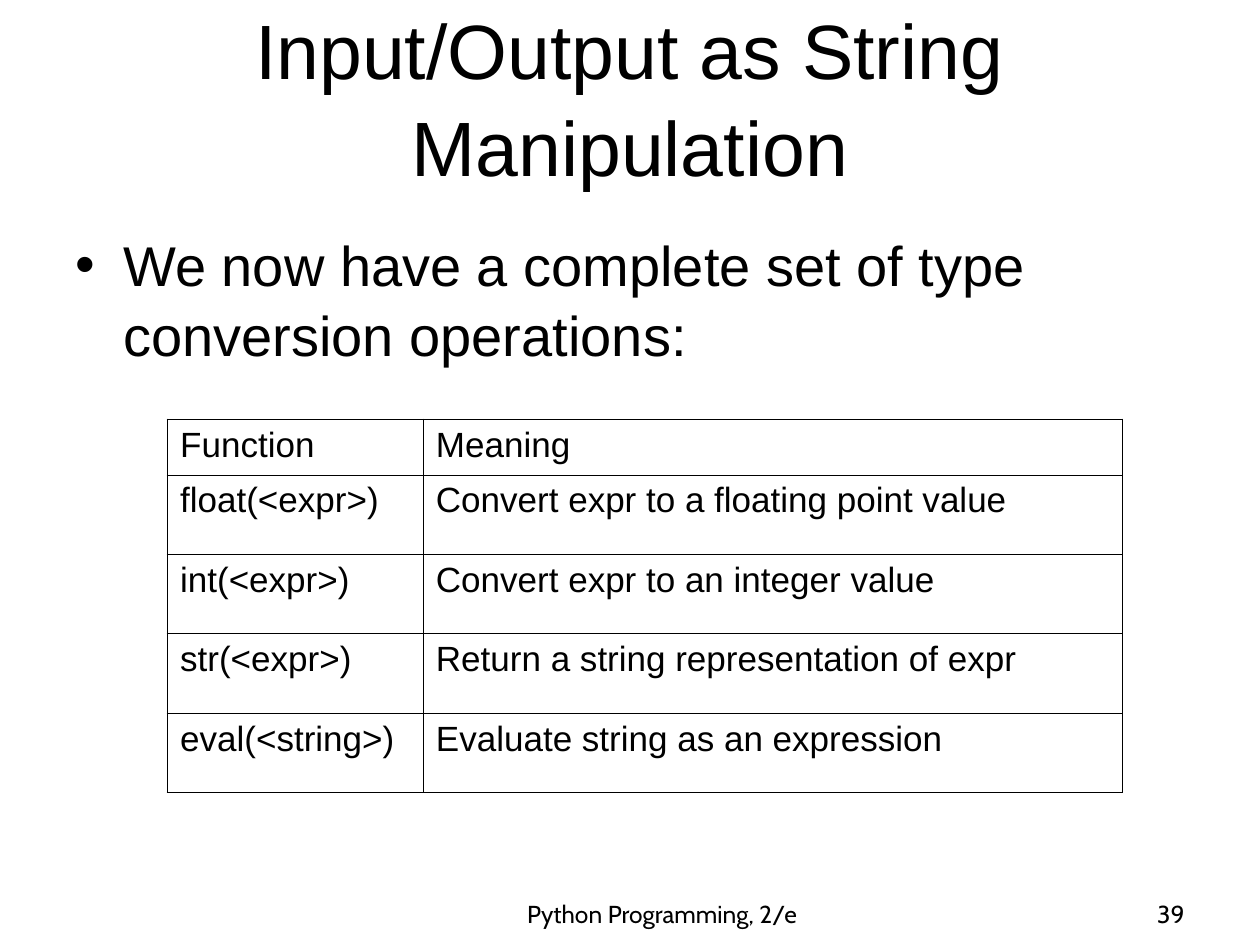
import pptx
import pptx.dml.color
import pptx.enum.text
import pptx.oxml
import pptx.oxml.ns
import pptx.util

Inches = pptx.util.Inches
Pt = pptx.util.Pt
Align = pptx.enum.text.PP_ALIGN
Anchor = pptx.enum.text.MSO_ANCHOR

INK = "000000"
CONVERSIONS = [
    ("Function", "Meaning"),
    ("float(<expr>)", "Convert expr to a floating point value"),
    ("int(<expr>)", "Convert expr to an integer value"),
    ("str(<expr>)", "Return a string representation of expr"),
    ("eval(<string>)", "Evaluate string as an expression"),
]


def color(value):
    """Turn a hex string into a colour."""
    return pptx.dml.color.RGBColor.from_string(value)


def write(frame, text, size, font="Arial", align=Align.LEFT):
    """Fill a text frame with one formatted paragraph and return it."""
    frame.text = text
    paragraph = frame.paragraphs[0]
    paragraph.alignment = align
    for run in paragraph.runs:
        run.font.size = Pt(size)
        run.font.name = font
        run.font.color.rgb = color(INK)
    return paragraph


def add_text(slide, box, text, size, anchor, bottom=0.05, **style):
    """Place a wrapped text box and return its paragraph."""
    frame = slide.shapes.add_textbox(*map(Inches, box)).text_frame
    frame.word_wrap = True
    frame.vertical_anchor = anchor
    frame.margin_bottom = Inches(bottom)
    return write(frame, text, size, **style)


def add_title(slide, box):
    """Place the centred slide title."""
    title = add_text(slide, box, "Input/Output as String Manipulation", 44,
                     Anchor.BOTTOM, bottom=0.03, align=Align.CENTER)
    title.line_spacing = 1.05


def add_statement(slide, box):
    """Place the bulleted statement."""
    statement = add_text(
        slide, box, "We now have a complete set of type conversion operations:",
        32, Anchor.TOP)
    statement.line_spacing = 1.05
    statement.space_before = Pt(8)
    properties = statement._p.get_or_add_pPr()
    properties.set("marL", str(Inches(0.38)))
    properties.set("indent", str(Inches(-0.38)))
    namespace = pptx.oxml.ns.nsdecls("a")
    for bullet in ('<a:buFont %s typeface="Arial"/>', '<a:buChar %s char="•"/>'):
        properties.append(pptx.oxml.parse_xml(bullet % namespace))


def set_borders(cell, widths):
    """Draw the left, right, top and bottom borders ahead of the cell fill."""
    properties = cell._tc.get_or_add_tcPr()
    for index, (side, width) in enumerate(zip("LRTB", widths)):
        properties.insert(index, pptx.oxml.parse_xml(
            f'<a:ln{side} {pptx.oxml.ns.nsdecls("a")} w="{Pt(width)}">'
            f'<a:solidFill><a:srgbClr val="{INK}"/></a:solidFill></a:ln{side}>'))


def add_conversions(slide, box):
    """Place the table of type conversions with a heavier outer border."""
    left, top, width, height = box
    header, first = 0.44, 2.03
    last_row, last_column = len(CONVERSIONS) - 1, len(CONVERSIONS[0]) - 1
    table = slide.shapes.add_table(
        last_row + 1, last_column + 1, *map(Inches, box)).table
    table.first_row = table.horz_banding = False
    for column, size in zip(table.columns, (first, width - first)):
        column.width = Inches(size)
    for index, row in enumerate(table.rows):
        row.height = Inches((height - header) / last_row if index else header)
        for position, text in enumerate(CONVERSIONS[index]):
            cell = row.cells[position]
            write(cell.text_frame, text, 20).space_before = Pt(5)
            cell.fill.background()
            outer = (position == 0, position == last_column,
                     index == 0, index == last_row)
            set_borders(cell, [1.08 if edge else 0.45 for edge in outer])


def add_footer(slide, box):
    """Place the book title and the page number along the bottom."""
    left, top, width, height = box
    number_width = 2.08
    add_text(slide, (left, top, 3.17, height), "Python Programming, 2/e", 14,
             Anchor.BOTTOM, font="Cabin", align=Align.CENTER)
    add_text(slide, (left + width - number_width, top, number_width, height),
             "39", 14, Anchor.BOTTOM, font="Cabin", align=Align.RIGHT)


def main():
    """Build the slide and save it."""
    deck = pptx.Presentation()
    deck.slide_width, deck.slide_height = Inches(10), Inches(7.5)
    slide = deck.slides.add_slide(deck.slide_layouts[6])
    add_footer(slide, (3.67, 6.92, 5.83, 0.5))
    add_title(slide, (0.5, 0.3, 9, 1.25))
    add_statement(slide, (0.5, 1.75, 9, 4.95))
    add_conversions(slide, (1.33, 3.33, 7.58, 2.96))
    deck.save("out.pptx")


if __name__ == "__main__":
    main()
